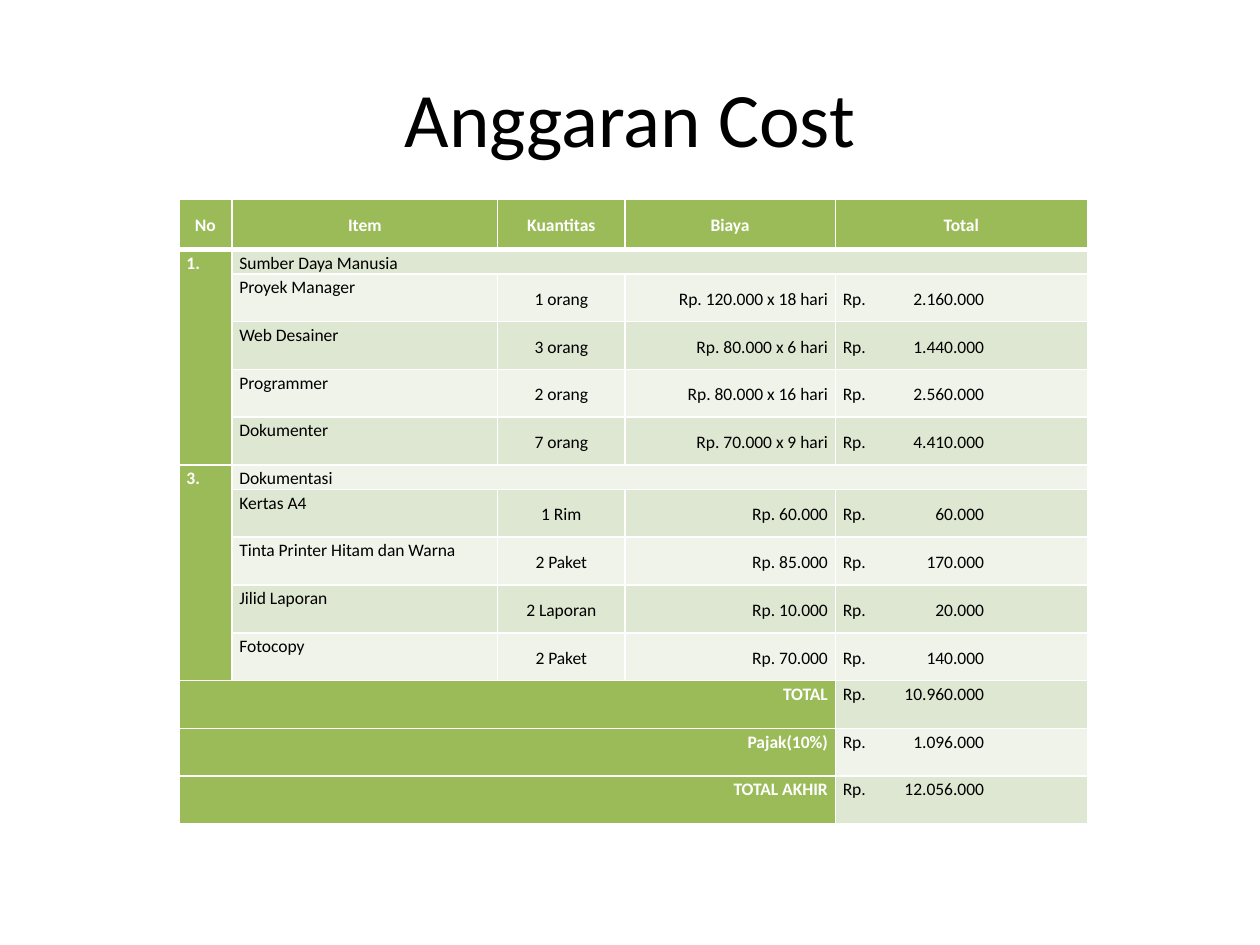
from dataclasses import dataclass

from lxml import etree
from pptx import Presentation
from pptx import util as u
from pptx.dml.color import RGBColor
from pptx.enum import text
from pptx.oxml import ns

GREEN = RGBColor(0x9B, 0xBB, 0x59)
BANDS = (RGBColor(0xDE, 0xE7, 0xD1), RGBColor(0xEF, 0xF3, 0xEA))
WHITE = RGBColor(0xFF, 0xFF, 0xFF)
BLACK = RGBColor(0, 0, 0)
FONT = "Calibri"

LEFT, CENTER, RIGHT = text.PP_ALIGN.LEFT, text.PP_ALIGN.CENTER, text.PP_ALIGN.RIGHT
TOP, MIDDLE = text.MSO_ANCHOR.TOP, text.MSO_ANCHOR.MIDDLE

# Table grid in inches; item rows are two row units high, group rows one
TABLE_LEFT, TABLE_TOP = 1.42, 1.58
COLUMNS = (0.42, 2.11, 1.01, 1.67, 2)
HEADER_HEIGHT = 0.4
ROW_UNIT = 4.55 / 24
AMOUNT_TAB = 1.12


@dataclass
class Item:
    name: str
    quantity: str
    cost: str
    total: str


@dataclass
class Group:
    number: str
    name: str
    items: list[Item]


HEADERS = ("No", "Item", "Kuantitas", "Biaya", "Total")
GROUPS = [
    Group("1.", "Sumber Daya Manusia", [
        Item("Proyek Manager", "1 orang", "Rp. 120.000 x 18 hari", "2.160.000"),
        Item("Web Desainer", "3 orang", "Rp. 80.000 x 6 hari", "1.440.000"),
        Item("Programmer", "2 orang", "Rp. 80.000 x 16 hari", "2.560.000"),
        Item("Dokumenter", "7 orang", "Rp. 70.000 x 9 hari", "4.410.000"),
    ]),
    Group("3.", "Dokumentasi", [
        Item("Kertas A4", "1 Rim", "Rp. 60.000", "60.000"),
        Item("Tinta Printer Hitam dan Warna", "2 Paket", "Rp. 85.000", "170.000"),
        Item("Jilid Laporan", "2 Laporan", "Rp. 10.000", "20.000"),
        Item("Fotocopy", "2 Paket", "Rp. 70.000", "140.000"),
    ]),
]
SUMMARIES = (("TOTAL", "10.960.000"), ("Pajak(10%)", "1.096.000"),
             ("TOTAL AKHIR", "12.056.000"))


def apply(target, values: dict) -> None:
    for name, value in values.items():
        setattr(target, name, value)


def add_borders(cell, top: float = 1, bottom: float = 1) -> None:
    properties = cell._tc.get_or_add_tcPr()
    widths = {"lnL": 1, "lnR": 1, "lnT": top, "lnB": bottom}
    for index, (side, width) in enumerate(widths.items()):
        line = etree.Element(ns.qn(f"a:{side}"), w=str(u.Pt(width)))
        fill = etree.SubElement(line, ns.qn("a:solidFill"))
        etree.SubElement(fill, ns.qn("a:srgbClr"), val=str(WHITE))
        properties.insert(index, line)


def write(cell, words: str, align=LEFT, anchor=TOP, strong: bool = False) -> None:
    apply(cell, {"margin_left": u.Inches(0.06), "margin_right": u.Inches(0.06),
                 "margin_top": 0, "margin_bottom": 0, "vertical_anchor": anchor})
    cell.text = words
    paragraph = cell.text_frame.paragraphs[0]
    apply(paragraph, {"alignment": align, "line_spacing": 1.15})
    apply(paragraph.runs[0].font, {"name": FONT, "size": u.Pt(10), "bold": strong})
    paragraph.runs[0].font.color.rgb = WHITE if strong else BLACK
    if strong:
        cell.fill.solid()
        cell.fill.fore_color.rgb = GREEN


def write_amount(cell, amount: str, anchor=MIDDLE) -> None:
    """Currency on the left, amount ending at a right tab stop."""
    write(cell, f"Rp.\t{amount}", anchor=anchor)
    properties = cell.text_frame.paragraphs[0]._p.get_or_add_pPr()
    tabs = etree.SubElement(properties, ns.qn("a:tabLst"))
    etree.SubElement(tabs, ns.qn("a:tab"), pos=str(u.Inches(AMOUNT_TAB)), algn="r")


def add_budget_table(slide) -> None:
    heights = [HEADER_HEIGHT]
    for group in GROUPS:
        heights += [ROW_UNIT] + [2 * ROW_UNIT] * len(group.items)
    heights += [2 * ROW_UNIT] * len(SUMMARIES)

    table = slide.shapes.add_table(
        len(heights), len(COLUMNS), u.Inches(TABLE_LEFT), u.Inches(TABLE_TOP),
        u.Inches(sum(COLUMNS)), u.Inches(sum(heights))).table
    for column, width in zip(table.columns, COLUMNS):
        column.width = u.Inches(width)

    # Row heights, banded fills and borders
    for index, (row, height) in enumerate(zip(table.rows, heights)):
        row.height = u.Inches(height)
        for cell in row.cells:
            cell.fill.solid()
            cell.fill.fore_color.rgb = BANDS[(index + 1) % 2]
            add_borders(cell, top=3 if index == 1 else 1, bottom=3 if index == 0 else 1)

    # Header
    for column, label in enumerate(HEADERS):
        write(table.cell(0, column), label, CENTER, MIDDLE, strong=True)

    # Groups with their items
    row = 1
    for group in GROUPS:
        table.cell(row, 0).merge(table.cell(row + len(group.items), 0))
        table.cell(row, 1).merge(table.cell(row, 4))
        write(table.cell(row, 0), group.number, strong=True)
        write(table.cell(row, 1), group.name)
        for row, item in enumerate(group.items, row + 1):
            write(table.cell(row, 1), item.name)
            write(table.cell(row, 2), item.quantity, CENTER, MIDDLE)
            write(table.cell(row, 3), item.cost, RIGHT, MIDDLE)
            write_amount(table.cell(row, 4), item.total)
        row += 1

    # Totals
    for row, (label, amount) in enumerate(SUMMARIES, row):
        table.cell(row, 0).merge(table.cell(row, 3))
        write(table.cell(row, 0), label, RIGHT, strong=True)
        write_amount(table.cell(row, 4), amount, TOP)


def main() -> None:
    presentation = Presentation()
    apply(presentation, {"slide_width": u.Inches(10), "slide_height": u.Inches(7.5)})
    slide = presentation.slides.add_slide(presentation.slide_layouts[5])

    # Title
    title = slide.shapes.title
    apply(title, {"left": u.Inches(0.5), "top": u.Inches(0.3),
                  "width": u.Inches(9), "height": u.Inches(1.25)})
    title.text_frame.text = "Anggaran Cost"
    title.text_frame.vertical_anchor = MIDDLE
    paragraph = title.text_frame.paragraphs[0]
    paragraph.alignment = CENTER
    apply(paragraph.runs[0].font, {"name": FONT, "size": u.Pt(44)})
    paragraph.runs[0].font.color.rgb = BLACK

    add_budget_table(slide)
    presentation.save("out.pptx")


if __name__ == "__main__":
    main()
